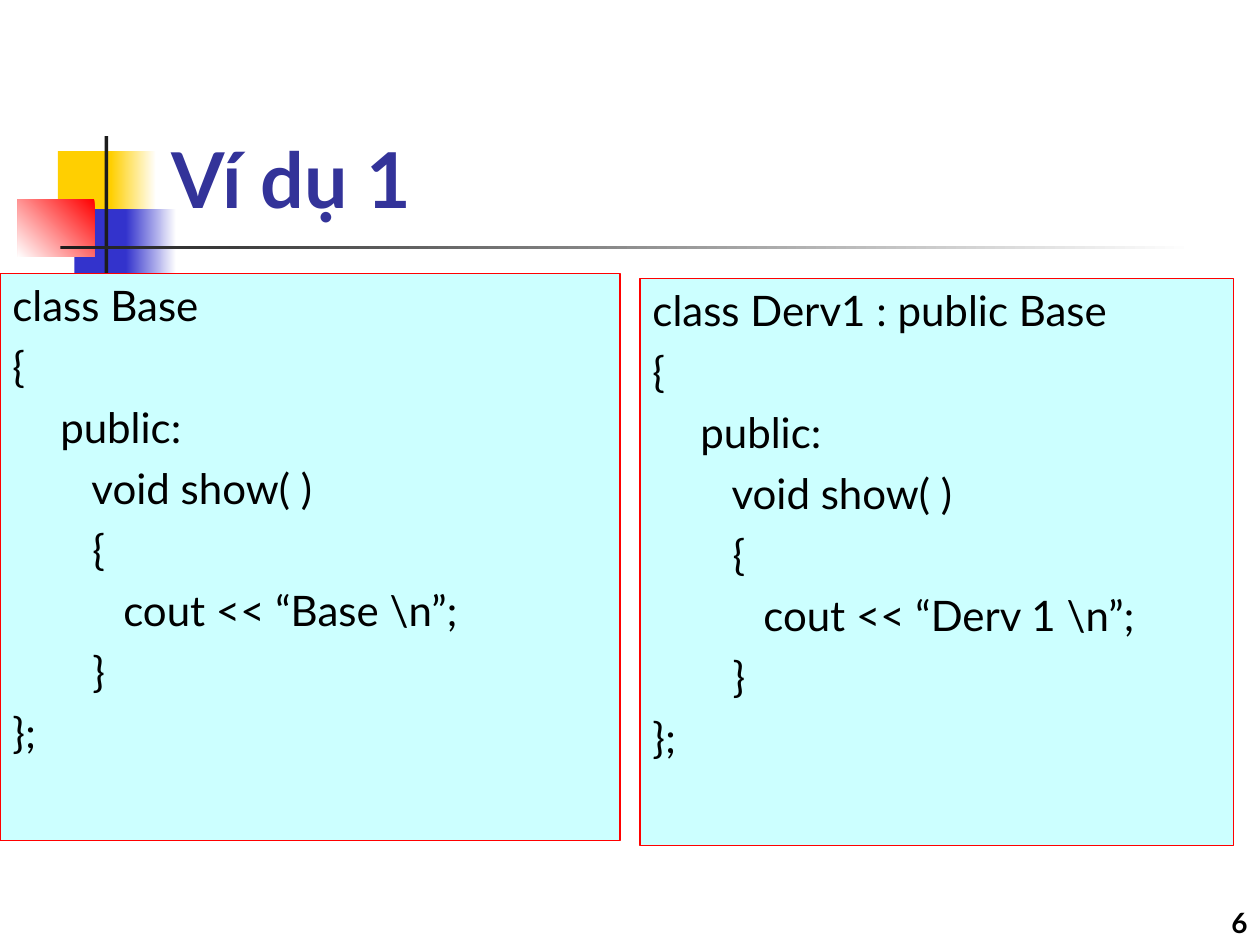
from pptx import Presentation
from pptx.dml.color import RGBColor
from pptx.enum.shapes import MSO_SHAPE
from pptx.enum.text import MSO_ANCHOR, PP_ALIGN
from pptx.oxml.ns import qn
from pptx.util import Pt
from lxml import etree

RECTANGLE = MSO_SHAPE.RECTANGLE
TOP, BOTTOM = MSO_ANCHOR.TOP, MSO_ANCHOR.BOTTOM
LEFT, RIGHT = PP_ALIGN.LEFT, PP_ALIGN.RIGHT

# Content
TITLE = "Ví dụ 1"
PAGE_NUMBER = "6"
CLASSES = [  # heading, printed word, box (left, top, width, height)
    ("class Base", "Base", (0, 156.24, 354.24, 324)),
    ("class Derv1 : public Base", "Derv 1", (365.76, 159.12, 339.12, 324)),
]
CLASS_BODY = ["{", "\tpublic:", "\t   void show( )", "\t   {",
              "\t\tcout << “{word} \\n”;", "\t   }", "};"]

THEME = {
    "font": "Lato",
    "yellow": "FFCF01", "blue": "3333CC", "red": "FF0000",
    "dark": "1C1C1C", "white": "FFFFFF", "code fill": "CCFFFF",
    "title": {"size": 44, "color": "333399", "bold": True},
    "code": {"size": 24, "color": "000000", "bold": False},
    "number": {"size": 16, "color": "000000", "bold": True},
}

# Corner ornament: box, colours (two make a gradient), counter-clockwise angle
ORNAMENT = [
    ((33.12, 86.4, 34.56, 37.44), ["yellow"], 0),
    ((63.36, 86.4, 25.92, 37.44), ["yellow", "white"], 0),
    ((42.48, 119.52, 33.12, 37.44), ["blue"], 0),
    ((72, 119.52, 28.8, 37.44), ["blue", "white"], 0),
    ((10.08, 113.76, 43.92, 33.12), ["red", "white"], 225),
    ((59.76, 77.76, 2.16, 82.8), ["dark"], 0),
    ((34.56, 140.4, 648, 2.16), ["dark", "white"], 0),
]
TITLE_BOX = (90.72, 16.56, 613.44, 115.2)
NUMBER_BOX = (570.24, 504, 149.76, 36)
CODE_INDENT, TAB_STEP, TAB_COUNT, CODE_GAP = 27.36, 72, 8, 6


def color(name):
    return RGBColor.from_string(THEME.get(name, name))


def add_rectangle(slide, box, colors, angle=0):
    shape = slide.shapes.add_shape(RECTANGLE, *map(Pt, box))
    shape.shadow.inherit = False
    shape.line.fill.background()
    if len(colors) == 1:
        shape.fill.solid()
        shape.fill.fore_color.rgb = color(colors[0])
    else:
        shape.fill.gradient()
        shape.fill.gradient_angle = angle
        for stop, name in zip(shape.fill.gradient_stops, colors):
            stop.color.rgb = color(name)
    return shape


def write_lines(shape, lines, style, anchor=TOP, alignment=LEFT):
    frame = shape.text_frame
    settings = {"word_wrap": True, "vertical_anchor": anchor,
                "margin_left": Pt(7.2), "margin_right": Pt(7.2),
                "margin_top": Pt(3.6), "margin_bottom": Pt(3.6)}
    for name, value in settings.items():
        setattr(frame, name, value)
    for index, line in enumerate(lines):
        paragraph = frame.add_paragraph() if index else frame.paragraphs[0]
        paragraph.alignment = alignment
        run = paragraph.add_run()
        run.text = line
        font = {"name": THEME["font"], "size": Pt(style["size"]),
                "bold": style["bold"]}
        for name, value in font.items():
            setattr(run.font, name, value)
        run.font.color.rgb = color(style["color"])
    return frame.paragraphs


def indent_code(paragraph):
    properties = paragraph._p.get_or_add_pPr()
    properties.set("marL", str(Pt(CODE_INDENT)))
    properties.set("indent", str(-Pt(CODE_INDENT)))
    tabs = etree.SubElement(properties, qn("a:tabLst"))
    for index in range(TAB_COUNT):
        etree.SubElement(tabs, qn("a:tab"), pos=str(Pt(index * TAB_STEP)), algn="l")


def main():
    presentation = Presentation()
    presentation.slide_width, presentation.slide_height = Pt(720), Pt(540)
    slide = presentation.slides.add_slide(presentation.slide_layouts[6])

    # Corner ornament and rule
    for box, colors, angle in ORNAMENT:
        add_rectangle(slide, box, colors, angle)

    # Title
    title = slide.shapes.add_textbox(*map(Pt, TITLE_BOX))
    write_lines(title, [TITLE], THEME["title"], BOTTOM)

    # Code boxes
    for heading, word, box in CLASSES:
        panel = add_rectangle(slide, box, ["code fill"])
        panel.line.color.rgb = color("red")
        panel.line.width = Pt(0.75)
        lines = [heading] + [line.replace("{word}", word) for line in CLASS_BODY]
        for index, paragraph in enumerate(write_lines(panel, lines, THEME["code"])):
            indent_code(paragraph)
            if index:
                paragraph.space_before = Pt(CODE_GAP)

    # Page number
    number = slide.shapes.add_textbox(*map(Pt, NUMBER_BOX))
    write_lines(number, [PAGE_NUMBER], THEME["number"], BOTTOM, RIGHT)

    presentation.save("out.pptx")


if __name__ == "__main__":
    main()
